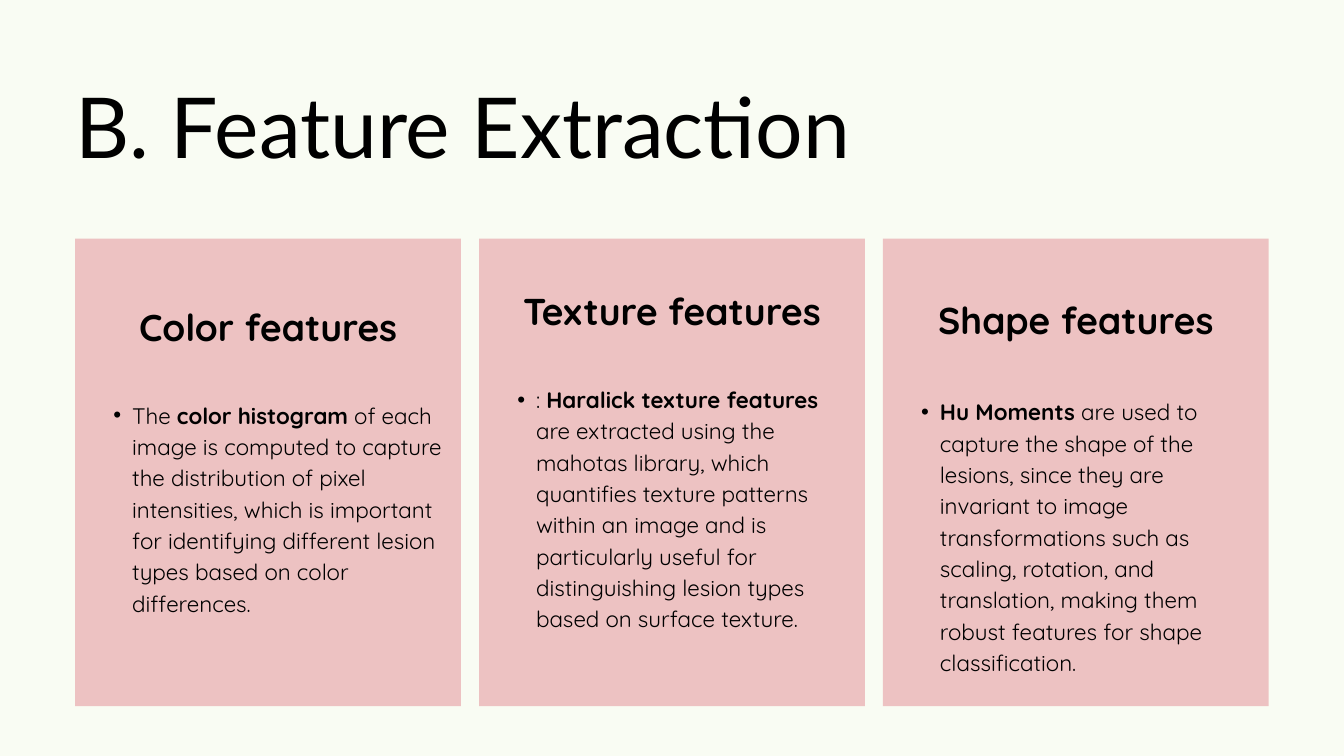
from lxml import etree
from pptx import Presentation
from pptx.dml.color import RGBColor
from pptx.enum.shapes import MSO_SHAPE
from pptx.enum.text import MSO_ANCHOR, MSO_AUTO_SIZE, PP_ALIGN
from pptx.oxml.ns import qn
from pptx.util import Pt

RECTANGLE = MSO_SHAPE.RECTANGLE
TOP, MIDDLE = MSO_ANCHOR.TOP, MSO_ANCHOR.MIDDLE
LEFT, CENTER = PP_ALIGN.LEFT, PP_ALIGN.CENTER
NO_AUTOFIT = MSO_AUTO_SIZE.NONE

BACKGROUND, CARD, INK = "F9FCF3", "EDC2C2", "000000"
TITLE_FONT, BODY_FONT = "Lato", "Quicksand"
MARGIN, CARD_TOP, CARD_HEIGHT = 80.64, 255.6, 501.12
CARD_WIDTH, CARD_GAP = 413.28, 19.44
TEXT_RISE = 33.84  # the text frame starts this far above its card
INSET = 20

# heading, extra top inset, gap under heading, (text, bold) runs
CARDS = [
    ("Color features", 0, 51.8, [
        ("The ", False), ("color histogram", True),
        (" of each image is computed to capture the distribution of pixel "
         "intensities, which is important for identifying different lesion "
         "types based on color differences.", False)]),
    ("Texture features", 0, 51.8, [
        (": ", False), ("Haralick texture features", True),
        (" are extracted using the mahotas library, which quantifies texture "
         "patterns within an image and is particularly useful for "
         "distinguishing lesion types based on surface texture.", False)]),
    ("Shape features", 56, 56, [
        ("Hu Moments", True),
        (" are used to capture the shape of the lesions, since they are "
         "invariant to image transformations such as scaling, rotation, and "
         "translation, making them robust features for shape "
         "classification.", False)]),
]


def rgb(value):
    return RGBColor.from_string(value)


def format_run(r, font, size, bold=False):
    r.font.name = font
    r.font.size = Pt(size)
    r.font.bold = bold
    r.font.color.rgb = rgb(INK)


def set_frame(tf, anchor, inset, top_inset):
    tf.word_wrap = True
    tf.auto_size = NO_AUTOFIT
    tf.vertical_anchor = anchor
    tf.margin_left = tf.margin_right = tf.margin_bottom = Pt(inset)
    tf.margin_top = Pt(top_inset)


def add_bullet(p, left, hanging):
    pPr = p._p.get_or_add_pPr()
    pPr.set("marL", str(Pt(left)))
    pPr.set("indent", str(-Pt(hanging)))
    etree.SubElement(pPr, qn("a:buFont")).set("typeface", "Arial")
    etree.SubElement(pPr, qn("a:buChar")).set("char", "•")


def add_title(s, text, x, y, w, h):
    sp = s.shapes.title
    sp.left, sp.top, sp.width, sp.height = Pt(x), Pt(y), Pt(w), Pt(h)
    tf = sp.text_frame
    tf.text = text
    set_frame(tf, TOP, 0, 0)
    p = tf.paragraphs[0]
    p.alignment = LEFT
    p.line_spacing = Pt(108)
    format_run(p.runs[0], TITLE_FONT, 90)


def add_card(s, x, y, w, h, heading, lead, gap, body):
    """Group a panel with its centred heading and bulleted description."""
    group = s.shapes.add_group_shape()
    panel = group.shapes.add_shape(RECTANGLE, Pt(x), Pt(y), Pt(w), Pt(h))
    panel.shadow.inherit = False
    panel.fill.solid()
    panel.fill.fore_color.rgb = rgb(CARD)
    panel.line.fill.background()

    box = group.shapes.add_textbox(Pt(x), Pt(y - TEXT_RISE), Pt(w), Pt(h + TEXT_RISE))
    tf = box.text_frame
    set_frame(tf, MIDDLE, INSET, INSET + lead)
    p = tf.paragraphs[0]
    p.text = heading
    p.alignment = CENTER
    p.line_spacing = Pt(56)
    p.space_after = Pt(gap)
    format_run(p.runs[0], BODY_FONT, 40, True)

    p = tf.add_paragraph()
    p.level = 1
    p.alignment = LEFT
    p.line_spacing = Pt(33.6)
    add_bullet(p, 41, 20)
    for text, bold in body:
        r = p.add_run()
        r.text = text
        format_run(r, BODY_FONT, 24, bold)


def main():
    prs = Presentation()
    prs.slide_width, prs.slide_height = Pt(1440), Pt(810)
    s = prs.slides.add_slide(prs.slide_layouts[5])
    s.background.fill.solid()
    s.background.fill.fore_color.rgb = rgb(BACKGROUND)

    add_title(s, "B. Feature Extraction", MARGIN, 80, 934.56, 108.72)
    for i, card in enumerate(CARDS):
        x = MARGIN + i * (CARD_WIDTH + CARD_GAP)
        add_card(s, x, CARD_TOP, CARD_WIDTH, CARD_HEIGHT, *card)
    prs.save("out.pptx")


if __name__ == "__main__":
    main()
